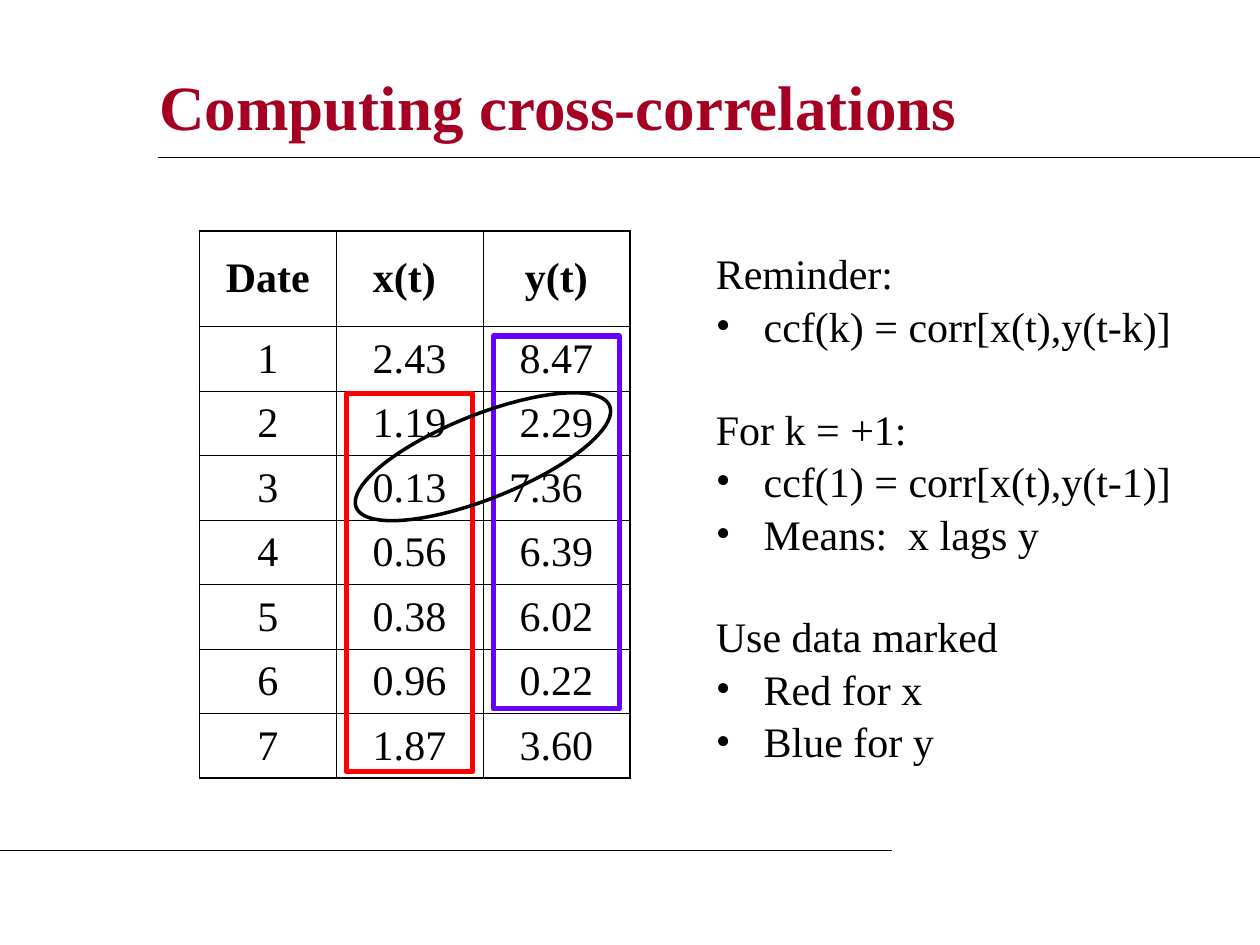
"""Build a slide that explains computing cross-correlations with a marked table."""
from lxml import etree
from pptx import Presentation
from pptx.dml.color import RGBColor
from pptx.enum.shapes import MSO_CONNECTOR, MSO_SHAPE
from pptx.enum.text import MSO_ANCHOR, PP_ALIGN
from pptx.oxml.ns import qn
from pptx.util import Inches, Pt

STRAIGHT = MSO_CONNECTOR.STRAIGHT
RECT, OVAL = MSO_SHAPE.RECTANGLE, MSO_SHAPE.OVAL
MIDDLE, CENTER = MSO_ANCHOR.MIDDLE, PP_ALIGN.CENTER

THEME = {
    "font": "Times New Roman",
    "title_size": 36,
    "text_size": 24,
    "title": "A50021",
    "ink": "000000",
    "x_mark": "FF0000",
    "y_mark": "6600FF",
    "outer": 1.08,
    "inner": 0.45,
}

prs = Presentation()
prs.slide_width, prs.slide_height = Inches(10), Inches(7.5)
s = prs.slides.add_slide(prs.slide_layouts[6])
UNIT = prs.slide_width / 120


def grid(*cells):
    return [round(c * UNIT) for c in cells]


def add_run(p, text, size=THEME["text_size"], color=THEME["ink"], bold=False):
    r = p.add_run()
    r.text = text
    r.font.name, r.font.size, r.font.bold = THEME["font"], Pt(size), bold
    r.font.color.rgb = RGBColor.from_string(color)


tf = s.shapes.add_textbox(*grid(14, 5, 97, 10)).text_frame
tf.word_wrap, tf.vertical_anchor = True, MIDDLE
add_run(tf.paragraphs[0], "Computing cross-correlations",
        THEME["title_size"], THEME["title"], True)

SECTIONS = [
    ("Reminder:", ["ccf(k) = corr[x(t),y(t-k)]"]),
    ("For k = +1:", ["ccf(1) = corr[x(t),y(t-1)]", "Means:  x lags y"]),
    ("Use data marked", ["Red for x", "Blue for y"]),
]
tf = s.shapes.add_textbox(*grid(67, 23, 48, 50)).text_frame
tf.word_wrap = True
for i, (heading, points) in enumerate(SECTIONS):
    p = tf.add_paragraph() if i else tf.paragraphs[0]
    p.space_before = Pt(30 if i else 0)
    add_run(p, heading)
    for point in points:
        p = tf.add_paragraph()
        pPr = p._p.get_or_add_pPr()
        pPr.set("marL", str(Inches(0.38)))
        pPr.set("indent", str(-Inches(0.38)))
        color = etree.SubElement(pPr, qn("a:buClr"))
        etree.SubElement(color, qn("a:srgbClr"), val=THEME["ink"])
        etree.SubElement(pPr, qn("a:buFont"), typeface=THEME["font"])
        etree.SubElement(pPr, qn("a:buChar"), char="•")
        p.space_before = Pt(1.2)
        add_run(p, point)

for x1, x2, y in [(15, 120, 15), (0, 85, 81)]:
    rule = s.shapes.add_connector(STRAIGHT, *grid(x1, y, x2, y))
    rule.line.color.rgb = RGBColor.from_string(THEME["ink"])
    rule.line.width = Pt(0.75)
    etree.SubElement(rule._element.spPr, qn("a:effectLst"))

ROWS = [
    ("Date", "x(t)", "y(t)"),
    ("1", "2.43", "8.47"),
    ("2", "1.19", "2.29"),
    ("3", "0.13", "7.36"),
    ("4", "0.56", "6.39"),
    ("5", "0.38", "6.02"),
    ("6", "0.96", "0.22"),
    ("7", "1.87", "3.60"),
]
COL_WIDTHS = grid(13, 14, 14)
ROW_HEIGHTS = grid(9.1, *[6.15] * 7)
RIGHT_MARGINS = {"x(t)": 0.18, "7.36": 0.27}
table = s.shapes.add_table(len(ROWS), len(COL_WIDTHS), *grid(19, 22),
                           sum(COL_WIDTHS), sum(ROW_HEIGHTS)).table
table.first_row = table.horz_banding = False
for col, width in zip(table.columns, COL_WIDTHS):
    col.width = width
for i, (row, height, values) in enumerate(zip(table.rows, ROW_HEIGHTS, ROWS)):
    row.height = height
    for j, (cell, value) in enumerate(zip(row.cells, values)):
        cell.fill.background()
        cell.vertical_anchor = MIDDLE
        cell.margin_right = Inches(RIGHT_MARGINS.get(value, 0.1))
        p = cell.text_frame.paragraphs[0]
        p.alignment = CENTER
        add_run(p, value, bold=i == 0)
        on_edge = {"lnL": j == 0, "lnR": j == len(values) - 1,
                   "lnT": i == 0, "lnB": i == len(ROWS) - 1}
        for k, (side, outer) in enumerate(on_edge.items()):
            width = Pt(THEME["outer" if outer else "inner"])
            ln = etree.Element(qn(f"a:{side}"), w=str(width))
            fill = etree.SubElement(ln, qn("a:solidFill"))
            etree.SubElement(fill, qn("a:srgbClr"), val=THEME["ink"])
            cell._tc.get_or_add_tcPr().insert(k, ln)

MARKS = [
    (RECT, (33, 37.5, 12, 36), "x_mark", 3, 0),
    (RECT, (47, 32, 12, 35.5), "y_mark", 3, 0),
    (OVAL, (33, 39.5, 26, 8), "ink", 2, 338.2),
]
for kind, box, color, width, angle in MARKS:
    sp = s.shapes.add_shape(kind, *grid(*box))
    sp.shadow.inherit = False
    sp.fill.background()
    sp.line.color.rgb = RGBColor.from_string(THEME[color])
    sp.line.width = Pt(width)
    sp.rotation = angle

prs.save("out.pptx")
